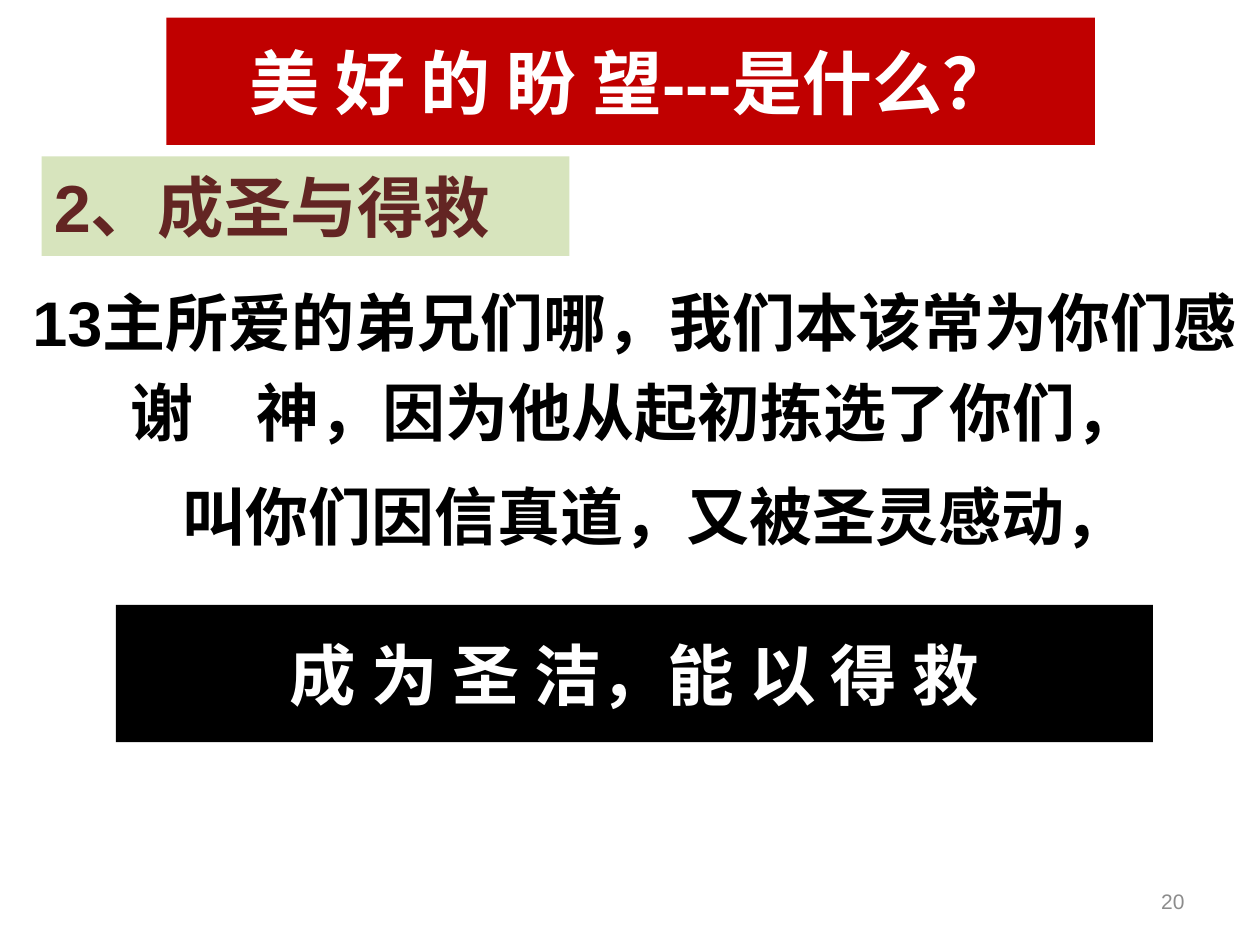
from dataclasses import dataclass

from pptx import Presentation
from pptx.dml.color import RGBColor
from pptx.enum.shapes import MSO_SHAPE as Shape
from pptx.enum.text import MSO_ANCHOR as Anchor, MSO_AUTO_SIZE as AutoSize, PP_ALIGN as Align
from pptx.util import Inches, Pt

COLORS = {
    "red": "C00000",
    "green": "D7E4BD",
    "brown": "632523",
    "black": "000000",
    "white": "FFFFFF",
    "gray": "8C8C8C",
}
FONT = "Arial"


@dataclass
class Banner:
    text: str
    bounds: tuple[float, float, float, float]
    fill: str
    color: str
    size: int
    align: Align = Align.CENTER


TITLE = Banner("美 好 的 盼 望---是什么？", (1.32, 0.14, 7.37, 1.01), "red", "white", 40)
BANNERS = [
    Banner("2、成圣与得救", (0.33, 1.24, 4.19, 0.79), "green", "brown", 38, Align.LEFT),
    Banner("成 为 圣 洁，能 以 得 救", (0.92, 4.8, 8.23, 1.09), "black", "white", 38),
]
VERSE = [
    "13主所爱的弟兄们哪，我们本该常为你们感谢　神，因为他从起初拣选了你们，",
    "叫你们因信真道，又被圣灵感动，",
]


def write(para, text: str, size: int, color: str, align: Align, bold: bool = True) -> None:
    """Put one formatted run into a paragraph."""
    span = para.add_run()
    span.text = text
    para.alignment = align
    formats = {"name": FONT, "size": Pt(size), "bold": bold}
    for name, value in formats.items():
        setattr(span.font, name, value)
    span.font.color.rgb = RGBColor.from_string(COLORS[color])


def set_frame(frame, anchor: Anchor) -> None:
    formats = {"word_wrap": True, "auto_size": AutoSize.NONE, "vertical_anchor": anchor}
    for name, value in formats.items():
        setattr(frame, name, value)


def style_banner(box, banner: Banner) -> None:
    """Place, fill and label a banner."""
    for name, value in zip(("left", "top", "width", "height"), banner.bounds):
        setattr(box, name, Inches(value))
    box.fill.solid()
    box.fill.fore_color.rgb = RGBColor.from_string(COLORS[banner.fill])
    box.line.fill.background()
    set_frame(box.text_frame, Anchor.MIDDLE)
    write(box.text_frame.paragraphs[0], banner.text, banner.size, banner.color, banner.align)


def add_banner(page, banner: Banner) -> None:
    box = page.shapes.add_shape(Shape.RECTANGLE, *map(Inches, banner.bounds))
    box.shadow.inherit = False
    style_banner(box, banner)


def add_text_box(page, bounds: tuple[float, float, float, float], anchor: Anchor):
    frame = page.shapes.add_textbox(*map(Inches, bounds)).text_frame
    set_frame(frame, anchor)
    return frame


def main() -> None:
    deck = Presentation()
    deck.slide_width, deck.slide_height = Inches(10), Inches(7.5)
    page = deck.slides.add_slide(deck.slide_layouts[5])

    # Title and banners
    style_banner(page.shapes.title, TITLE)
    for banner in BANNERS:
        add_banner(page, banner)

    # Bible verse, second part shifted slightly to the right
    frame = add_text_box(page, (0.14, 2.08, 9.79, 2.6), Anchor.TOP)
    first, second = frame.paragraphs[0], frame.add_paragraph()
    second.space_before = Pt(7.2)
    second._p.get_or_add_pPr().set("marL", str(Inches(0.33)))
    for para, text in zip((first, second), VERSE):
        para.line_spacing = 1.2
        write(para, text, 36, "black", Align.CENTER)

    # Page number
    frame = add_text_box(page, (7.17, 6.95, 2.33, 0.4), Anchor.MIDDLE)
    write(frame.paragraphs[0], "20", 12, "gray", Align.RIGHT, bold=False)

    deck.save("out.pptx")


if __name__ == "__main__":
    main()
